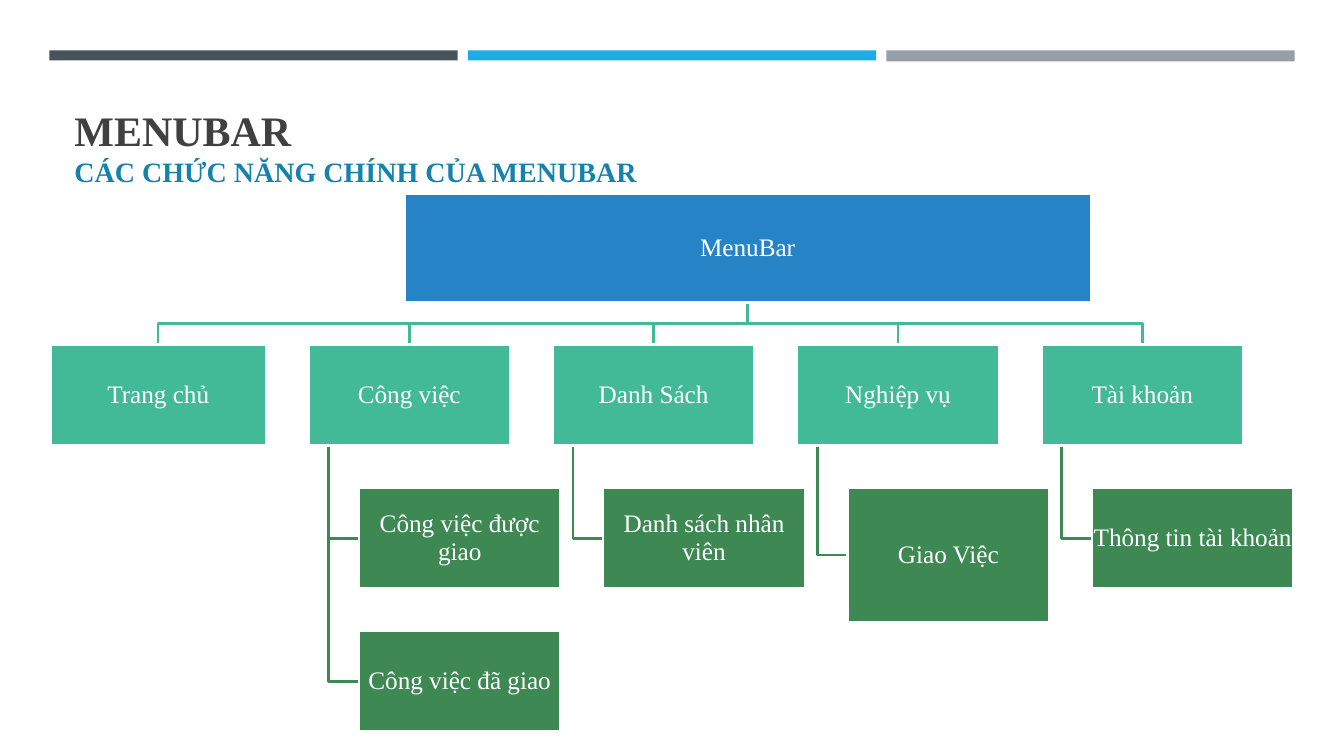
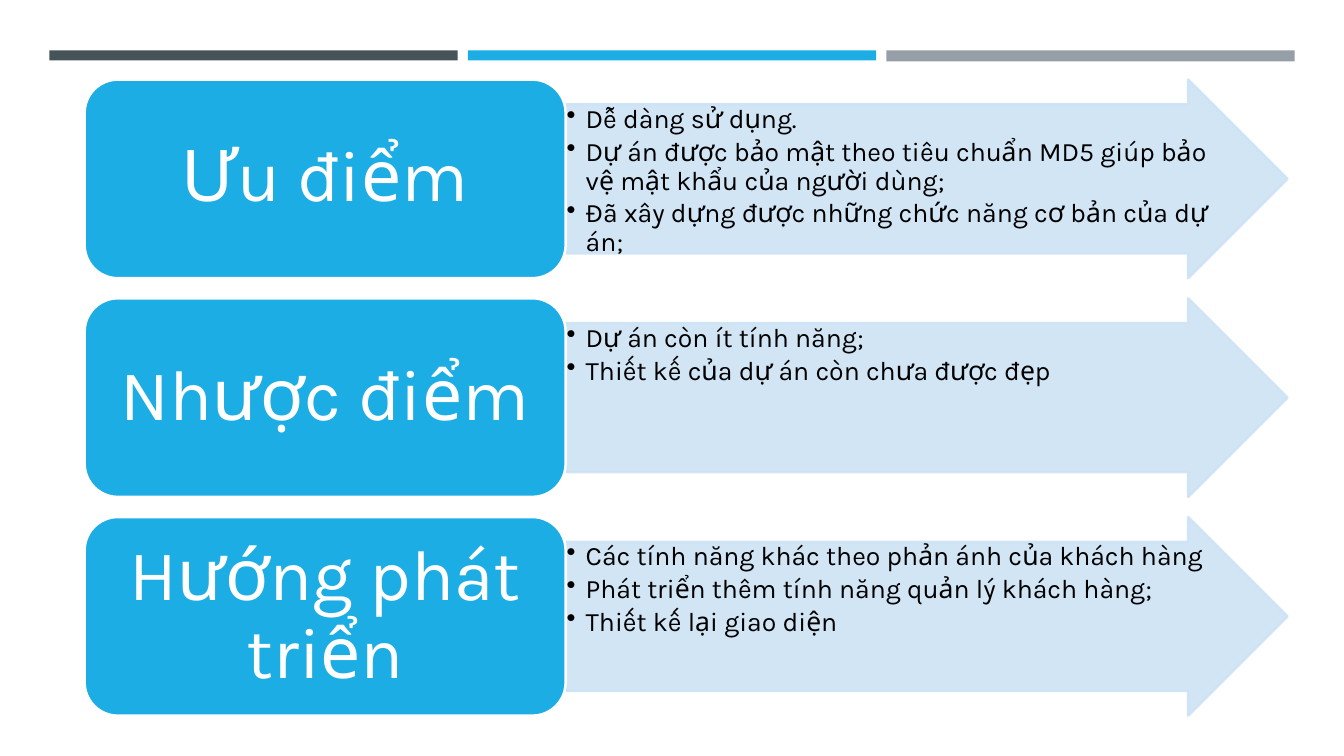
from lxml.etree import SubElement
from pptx import Presentation
from pptx.dml.color import RGBColor
from pptx.enum.shapes import MSO_SHAPE
from pptx.enum.text import MSO_ANCHOR, PP_ALIGN
from pptx.oxml.ns import qn
from pptx.util import Inches, Pt

COLORS = {
    "slate": "465359", "sky": "1CADE4", "gray": "969FA7", "white": "FFFFFF",
    "heading": "404040", "subheading": "1482AC", "root": "2683C6",
    "menu": "42BA97", "item": "3E8853", "pale": "CDE3F5", "black": "000000",
}
SERIF, SANS = "Times New Roman", "Karla"
LINE_WIDTH = Pt(1.75)


class Deck:
    """Holds the shared style and the current slide."""

    def __init__(self):
        self.presentation = Presentation()
        self.presentation.slide_width = Inches(13.33)
        self.presentation.slide_height = Inches(7.5)
        self.slide = None

    def color(self, name):
        return RGBColor.from_string(COLORS[name])

    def new_slide(self):
        self.slide = self.presentation.slides.add_slide(self.presentation.slide_layouts[6])
        for column, (band, height) in enumerate([("slate", 0.1), ("sky", 0.1), ("gray", 0.11)]):
            self.block(MSO_SHAPE.RECTANGLE, 0.49 + 4.15 * column, 0.5, 4.05, height, band)

    def block(self, preset, left, top, width, height, fill, outline=None):
        block = self.slide.shapes.add_shape(
            preset, Inches(left), Inches(top), Inches(width), Inches(height))
        block.shadow.inherit = False
        block.fill.solid()
        block.fill.fore_color.rgb = self.color(fill)
        if outline:
            block.line.color.rgb = self.color(outline)
            block.line.width = LINE_WIDTH
        else:
            block.line.fill.background()
        return block

    def style_run(self, run, font, size, color, bold=False):
        run.font.name = font
        run.font.size = Pt(size)
        run.font.color.rgb = self.color(color)
        run.font.bold = bold

    def fill_text(self, block, lines, font, size, color, side=0.01, edge=0.01,
                  align=PP_ALIGN.CENTER, anchor=MSO_ANCHOR.MIDDLE, space_after=0):
        frame = block.text_frame
        frame.word_wrap = True
        frame.vertical_anchor = anchor
        frame.margin_left = frame.margin_right = Inches(side)
        frame.margin_top = frame.margin_bottom = Inches(edge)
        frame.text = "\n".join(lines)
        for paragraph in frame.paragraphs:
            paragraph.alignment = align
            paragraph.line_spacing = 0.9
            paragraph.space_after = Pt(space_after)
            self.style_run(paragraph.runs[0], font, size, color)
        return frame

    def title(self, heading, subheading):
        title = self.slide.shapes.add_textbox(
            Inches(0.64), Inches(0.77), Inches(12.06), Inches(1.15))
        frame = title.text_frame
        frame.word_wrap = True
        frame.vertical_anchor = MSO_ANCHOR.BOTTOM
        paragraph = frame.paragraphs[0]
        paragraph.text = f"{heading}\v{subheading}"
        self.style_run(paragraph.runs[0], SERIF, 30, "heading", True)
        self.style_run(paragraph.runs[1], SERIF, 20, "subheading", True)

    def node(self, label, left, top, width, height, fill):
        box = self.block(MSO_SHAPE.RECTANGLE, left, top, width, height, fill, "white")
        self.fill_text(box, [label], SERIF, 18, "white")

    def branch(self, points, color):
        start, *rest = [(Inches(x), Inches(y)) for x, y in points]
        builder = self.slide.shapes.build_freeform(*start)
        builder.add_line_segments(rest, close=False)
        branch = builder.convert_to_shape()
        branch.shadow.inherit = False
        branch.fill.background()
        branch.line.color.rgb = self.color(color)
        branch.line.width = LINE_WIDTH

    def arrow(self, points, left, top, width, height):
        arrow = self.block(MSO_SHAPE.RIGHT_ARROW, left, top, width, height, "pale", "pale")
        arrow.adjustments[0] = 0.75
        arrow.adjustments[1] = 0.5
        for tint in arrow._element.spPr.iter(qn("a:srgbClr")):
            SubElement(tint, qn("a:alpha"), val="90000")
        frame = self.fill_text(arrow, points, SANS, 19, "black", align=PP_ALIGN.LEFT,
                               anchor=MSO_ANCHOR.TOP, space_after=3)
        for paragraph in frame.paragraphs:
            properties = paragraph._p.get_or_add_pPr()
            properties.set("marL", str(Inches(0.19)))
            properties.set("indent", str(-Inches(0.19)))
            SubElement(properties, qn("a:buChar"), char="•")

    def topic(self, label, left, top, width, height):
        topic = self.block(MSO_SHAPE.ROUNDED_RECTANGLE, left, top, width, height, "sky", "white")
        self.fill_text(topic, [label], SANS, 51, "white", side=0.21, edge=0.11)


def menu_slide(deck):
    deck.new_slide()
    deck.title("MENUBAR", "CÁC CHỨC NĂNG CHÍNH CỦA MENUBAR")
    root_left, root_top, root_width, root_height = 4.01, 1.92, 6.81, 1.08
    root_middle = root_left + root_width / 2
    menu_top, row_step, node_width, node_height = 3.42, 1.42, 2, 1
    first_left, last_left = 3.06, 10.33
    menus = [
        ("Công việc", [("Công việc được giao", 1), ("Công việc đã giao", 1)]),
        ("Danh Sách", [("Danh sách nhân viên", 1)]),
        ("Nghiệp vụ", [("Giao Việc", 1.33)]),
        ("Tài khoản", [("Thông tin tài khoản", 1)]),
    ]
    menu_step = (last_left - first_left) / (len(menus) - 1)
    nodes = [("MenuBar", root_left, root_top, root_width, root_height, "root"),
             ("Trang chủ", 0.5, menu_top, 2.14, node_height, "menu")]
    for column, (menu, items) in enumerate(menus):
        left = first_left + column * menu_step
        nodes.append((menu, left, menu_top, node_width, node_height, "menu"))
        for row, (item, height) in enumerate(items, 1):
            top = menu_top + row * row_step
            nodes.append((item, left + 0.5, top, node_width, height, "item"))
            trunk, middle = left + 0.2, top + height / 2
            deck.branch([(trunk, menu_top + node_height), (trunk, middle),
                         (left + 0.5, middle)], "item")
    for label, left, top, width, height, level in nodes:
        if level == "menu":
            middle = left + width / 2
            deck.branch([(root_middle, root_top + root_height), (root_middle, 3.21),
                         (middle, 3.21), (middle, menu_top)], "menu")
    for node in nodes:
        deck.node(*node)


def review_slide(deck):
    deck.new_slide()
    topics = [
        ("Ưu điểm", ["Dễ dàng sử dụng.",
                     "Dự án được bảo mật theo tiêu chuẩn MD5 giúp bảo vệ mật khẩu của người dùng;",
                     "Đã xây dựng được những chức năng cơ bản của dự án;"]),
        ("Nhược điểm", ["Dự án còn ít tính năng;",
                        "Thiết kế của dự án còn chưa được đẹp"]),
        ("Hướng phát triển", ["Các tính năng khác theo phản ánh của khách hàng",
                              "Phát triển thêm tính năng quản lý khách hàng;",
                              "Thiết kế lại giao diện"]),
    ]
    for row, (topic, points) in enumerate(topics):
        top = 0.79 + 2.17 * row
        deck.arrow(points, 5.61, top, 7.16, 1.97)
        deck.topic(topic, 0.84, top, 4.77, 1.97)


def main():
    deck = Deck()
    menu_slide(deck)
    review_slide(deck)
    deck.presentation.save("out.pptx")


if __name__ == "__main__":
    main()
